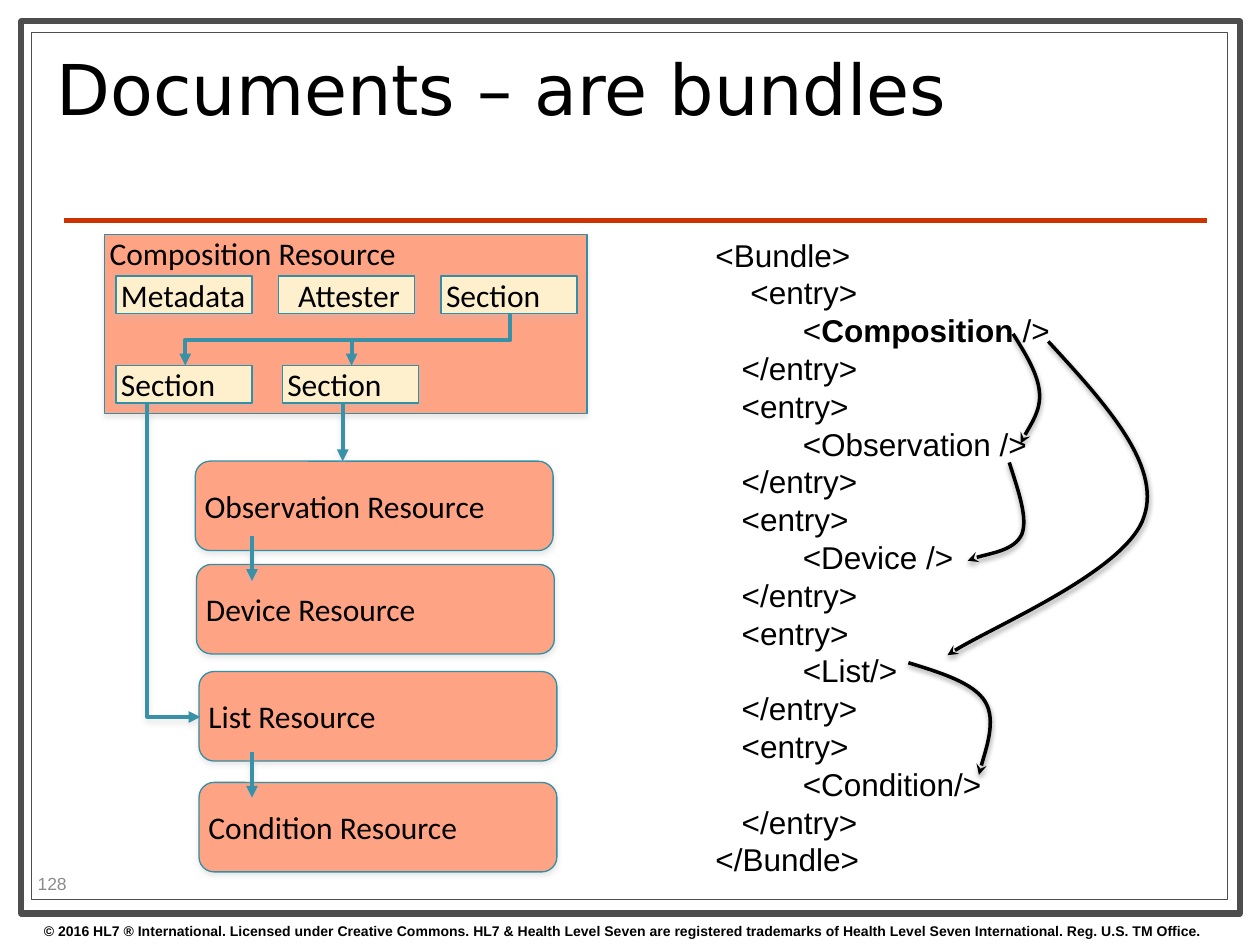
import pptx
import pptx.util
import lxml.etree
from pptx.dml.color import RGBColor
from pptx.enum.shapes import MSO_CONNECTOR, MSO_SHAPE
from pptx.enum.text import MSO_ANCHOR, MSO_AUTO_SIZE, PP_ALIGN
from pptx.oxml.ns import qn
from pptx.util import Inches

BLACK = RGBColor(0x00, 0x00, 0x00)
WHITE = RGBColor(0xFF, 0xFF, 0xFF)
FRAME_GRAY = RGBColor(0x4D, 0x4D, 0x4D)
NUMBER_GRAY = RGBColor(0x8C, 0x8C, 0x8C)
SHADOW_GRAY = RGBColor(0xC0, 0xC0, 0xC0)
RULE_RED = RGBColor(0xCC, 0x33, 0x00)
SALMON = RGBColor(0xFF, 0xA3, 0x85)
CREAM = RGBColor(0xFE, 0xF0, 0xCD)
BOX_TEAL = RGBColor(0x33, 0x8F, 0xA5)
ARROW_TEAL = RGBColor(0x38, 0x91, 0xA7)


def style_line(shape, colour, width, arrowhead=None, shadow=None):
    shape.line.color.rgb = colour
    shape.line.width = pptx.util.Pt(width)
    if arrowhead:
        line = shape.line._get_or_add_ln()
        lxml.etree.SubElement(line, qn("a:tailEnd"), type=arrowhead)
    effects = lxml.etree.SubElement(shape._element.spPr, qn("a:effectLst"))
    if shadow is not None:
        outer = lxml.etree.SubElement(effects, qn("a:outerShdw"), blurRad="38100",
                                      dist="21600", dir="5400000", rotWithShape="0")
        tint = lxml.etree.SubElement(outer, qn("a:srgbClr"), val=str(shadow))
        lxml.etree.SubElement(tint, qn("a:alpha"), val="36000")


def style_text(paragraph, font_name, size, colour=BLACK):
    for run in paragraph.runs:
        run.font.name = font_name
        run.font.size = pptx.util.Pt(size)
        run.font.color.rgb = colour


presentation = pptx.Presentation()
presentation.slide_width = Inches(10)
presentation.slide_height = Inches(7.5)
slide = presentation.slides.add_slide(presentation.slide_layouts[5])
shapes = slide.shapes

for left, top, width, height, weight in [(0.17, 0.17, 9.67, 7.08, 3.5),
                                         (0.25, 0.26, 9.49, 6.88, 0.75)]:
    frame = shapes.add_shape(MSO_SHAPE.RECTANGLE, Inches(left), Inches(top),
                             Inches(width), Inches(height))
    frame.fill.solid()
    frame.fill.fore_color.rgb = WHITE
    style_line(frame, FRAME_GRAY, weight)

rule = shapes.add_connector(MSO_CONNECTOR.STRAIGHT, Inches(0.51), Inches(1.75),
                            Inches(9.58), Inches(1.75))
style_line(rule, RULE_RED, 3)

title = shapes.title
title._element.getparent().append(title._element)
title.left, title.top = Inches(0.35), Inches(0.36)
title.width, title.height = Inches(7.65), Inches(0.8)
title.text_frame.text = "Documents – are bundles"
title.text_frame.vertical_anchor = MSO_ANCHOR.MIDDLE
title.text_frame.auto_size = MSO_AUTO_SIZE.NONE
paragraph = title.text_frame.paragraphs[0]
paragraph.alignment = PP_ALIGN.LEFT
paragraph.line_spacing = 0.8
style_text(paragraph, "DejaVu Sans", 40)

copyright_box = shapes.add_textbox(Inches(0.25), Inches(7.27), Inches(10), Inches(0.23))
copyright_box.text_frame.word_wrap = True
copyright_box.text_frame.text = (
    "© 2016 HL7 ® International. Licensed under Creative Commons. "
    "HL7 & Health Level Seven are registered trademarks of "
    "Health Level Seven International. Reg. U.S. TM Office.")
paragraph = copyright_box.text_frame.paragraphs[0]
style_text(paragraph, "Arial", 8)
paragraph.runs[0].font.bold = True

number_box = shapes.add_textbox(Inches(0.2), Inches(6.89), Inches(0.79), Inches(0.24))
number_box.text_frame.word_wrap = True
number_box.text_frame.vertical_anchor = MSO_ANCHOR.MIDDLE
number_box.text_frame.text = "128"
style_text(number_box.text_frame.paragraphs[0], "Arial", 10, NUMBER_GRAY)

composition = [("Composition Resource", 0.83, 1.86, 3.83, 1.42, SALMON, MSO_SHAPE.RECTANGLE)]
parts = [(text, left, top, 1.08, 0.3, CREAM, MSO_SHAPE.RECTANGLE)
         for text, left, top in [("Metadata", 0.92, 2.19), ("Attester", 2.21, 2.19),
                                 ("Section", 3.5, 2.19), ("Section", 0.92, 2.9),
                                 ("Section", 2.24, 2.9)]]
resources = [(text + " Resource", left, top, 2.84, 0.71, SALMON, MSO_SHAPE.ROUNDED_RECTANGLE)
             for text, left, top in [("Observation", 1.55, 3.66), ("Device", 1.56, 4.48),
                                     ("List", 1.58, 5.33), ("Condition", 1.58, 6.21)]]
for text, left, top, width, height, colour, kind in composition + parts + resources:
    box = shapes.add_shape(kind, Inches(left), Inches(top), Inches(width), Inches(height))
    box.fill.solid()
    box.fill.fore_color.rgb = colour
    style_line(box, BOX_TEAL, 0.75, shadow=SHADOW_GRAY)
    text_frame = box.text_frame
    text_frame.margin_left = Inches(0.04)
    text_frame.margin_top = text_frame.margin_right = text_frame.margin_bottom = 0
    rounded = kind == MSO_SHAPE.ROUNDED_RECTANGLE
    text_frame.vertical_anchor = MSO_ANCHOR.MIDDLE if rounded else MSO_ANCHOR.TOP
    text_frame.text = text
    paragraph = text_frame.paragraphs[0]
    paragraph.alignment = PP_ALIGN.CENTER if text == "Attester" else PP_ALIGN.LEFT
    style_text(paragraph, "Calibri", 18)

for x, start_y, end_y in [(2.72, 3.19, 3.66), (2, 4.25, 4.61), (2, 5.97, 6.33)]:
    arrow = shapes.add_connector(MSO_CONNECTOR.STRAIGHT, Inches(x), Inches(start_y),
                                 Inches(x), Inches(end_y))
    style_line(arrow, ARROW_TEAL, 2.25, "triangle", SHADOW_GRAY)

start_x, start_y, end_y = 4.05, 2.49, 2.9
for end_x in (1.47, 2.79):
    center_x, center_y = (start_x + end_x) / 2, (start_y + end_y) / 2
    half_drop, half_run = (end_y - start_y) / 2, (start_x - end_x) / 2
    elbow = shapes.add_connector(
        MSO_CONNECTOR.ELBOW, Inches(center_x - half_drop), Inches(center_y - half_run),
        Inches(center_x + half_drop), Inches(center_y + half_run))
    elbow._element.spPr.find(qn("a:xfrm")).set("rot", "5400000")
    style_line(elbow, ARROW_TEAL, 2.25, "triangle")

builder = shapes.build_freeform(Inches(1.17), Inches(3.2))
builder.add_line_segments([(Inches(1.17), Inches(5.69)), (Inches(1.59), Inches(5.69))],
                          close=False)
list_arrow = builder.convert_to_shape()
list_arrow.fill.background()
style_line(list_arrow, ARROW_TEAL, 2.25, "triangle", SHADOW_GRAY)

code_lines = ["<Bundle>", "    <entry>", "          <Composition />", "   </entry>"]
for element in ("<Observation />", "<Device />", "<List/>", "<Condition/>"):
    code_lines += ["   <entry>", "          " + element, "   </entry>"]
code_lines.append("</Bundle>")
code_box = shapes.add_textbox(Inches(5.58), Inches(1.82), Inches(2.88), Inches(5.25))
code_box.text_frame.word_wrap = False
code_box.text_frame.text = "\n".join(code_lines)
paragraph = code_box.text_frame.paragraphs[2]
paragraph.text = "          <"
for text in ("Composition", " />"):
    run = paragraph.add_run()
    run.text = text
    run.font.bold = text == "Composition"
for paragraph in code_box.text_frame.paragraphs:
    style_text(paragraph, "Arial", 18)

reference_curves = [
    [(8.04, 2.65), (8.14, 2.81), (8.24, 2.97), (8.25, 3.12),
     (8.26, 3.26), (8.13, 3.45), (8.1, 3.52)],
    [(8.32, 2.71), (8.77, 3.2), (9.22, 3.69), (9.08, 4.1),
     (8.95, 4.52), (7.77, 5.02), (7.52, 5.2)],
    [(7.21, 5.26), (7.47, 5.34), (7.73, 5.42), (7.82, 5.57),
     (7.91, 5.72), (7.78, 6.09), (7.77, 6.15)],
    [(8.01, 3.67), (8.08, 3.89), (8.16, 4.11), (8.11, 4.24),
     (8.05, 4.37), (7.75, 4.41), (7.68, 4.45)],
]
for curve in reference_curves:
    points = [(Inches(x), Inches(y)) for x, y in curve]
    builder = shapes.build_freeform(*points[0])
    builder.add_line_segments(points[1:], close=False)
    reference = builder.convert_to_shape()
    outline = next(reference._element.iter(qn("a:path")))
    segments = outline.findall(qn("a:lnTo"))
    for first in range(0, len(segments), 3):
        bezier = lxml.etree.SubElement(outline, qn("a:cubicBezTo"))
        for segment in segments[first:first + 3]:
            bezier.append(segment[0])
            outline.remove(segment)
    reference.fill.background()
    style_line(reference, BLACK, 2, "stealth", BLACK)

presentation.save("out.pptx")
